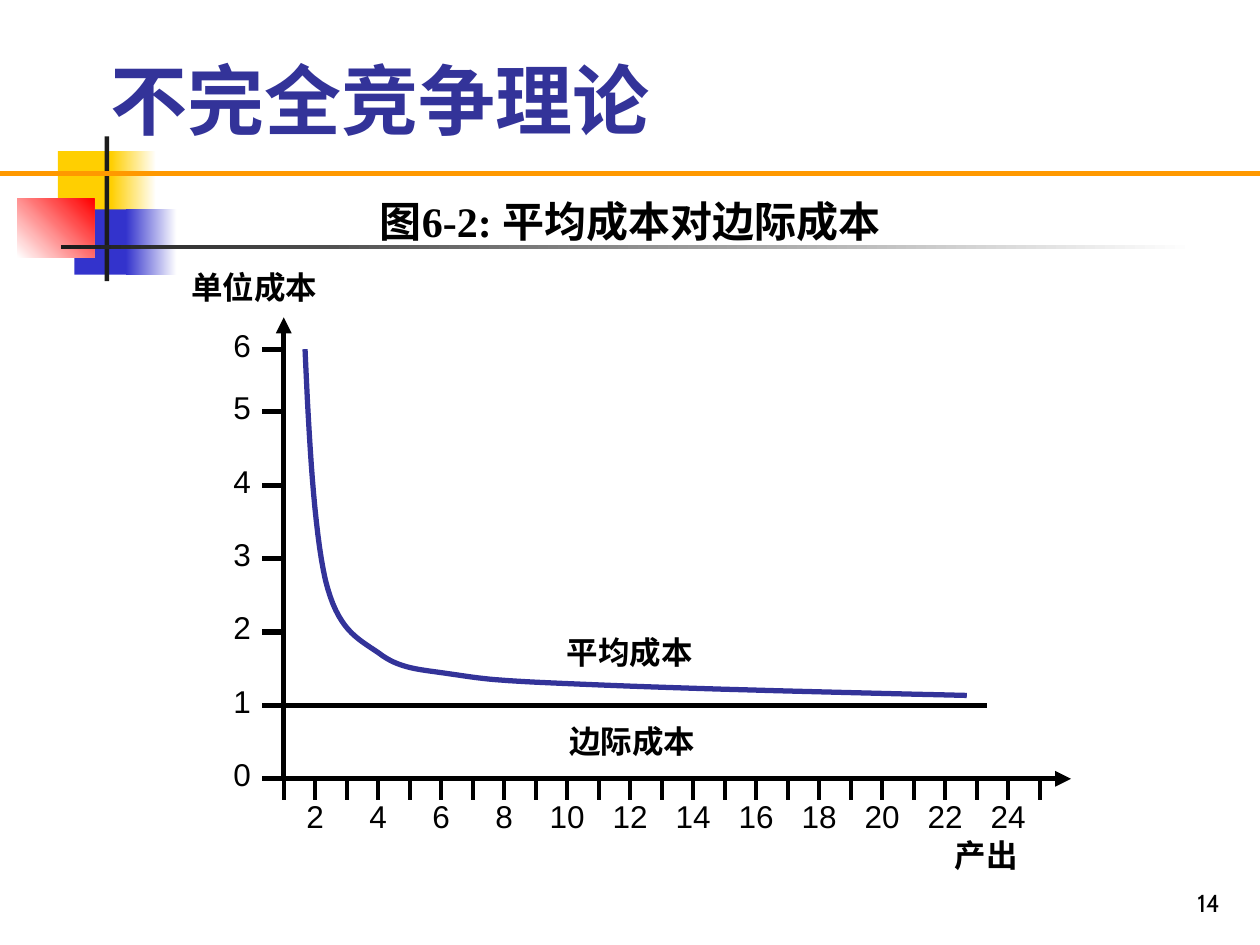
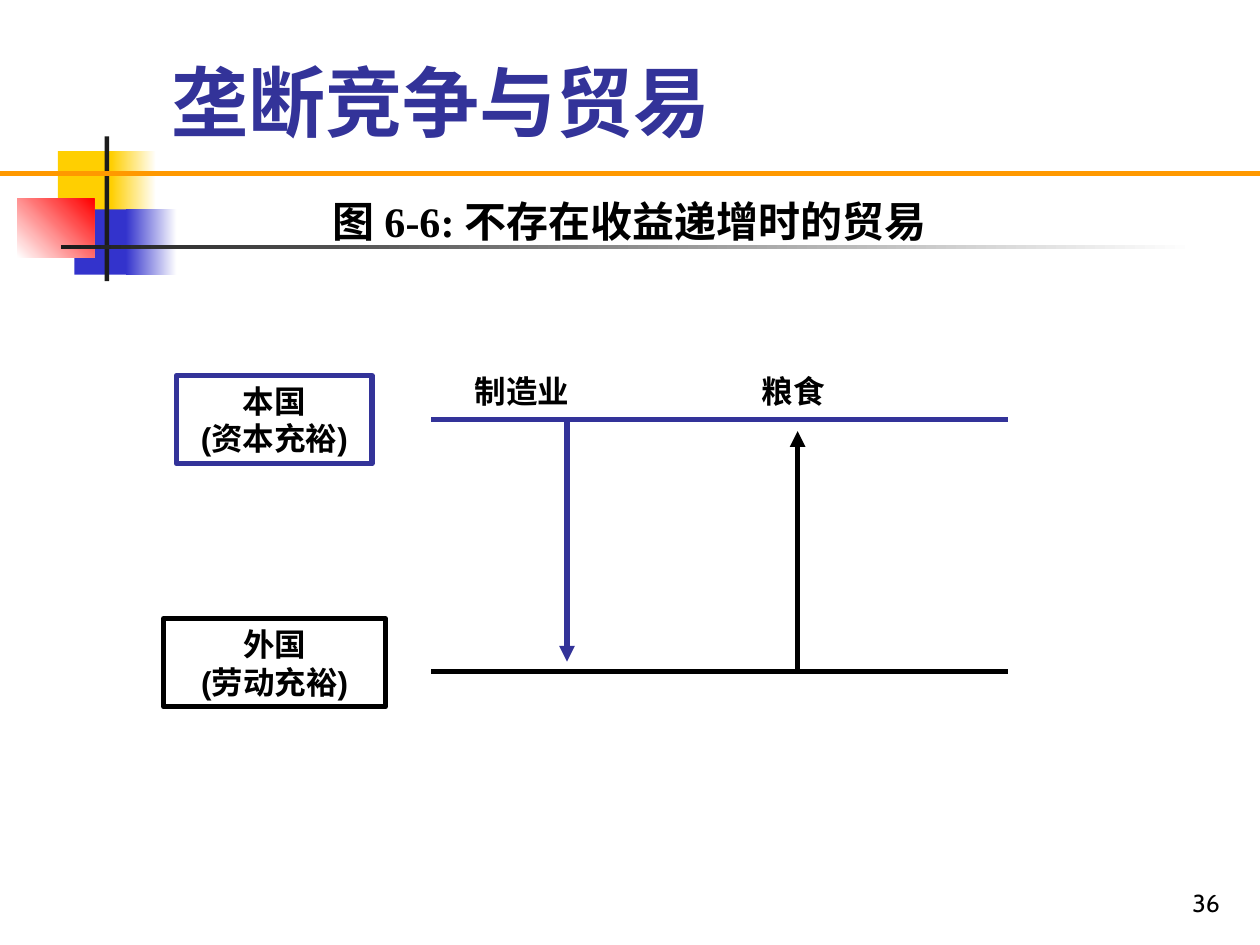
from pptx import Presentation
from pptx.dml.color import RGBColor
from pptx.enum import shapes, text
from pptx.oxml import ns, xmlchemy
from pptx.util import Cm, Pt

BLACK = RGBColor(0, 0, 0)
WHITE = RGBColor(255, 255, 255)
NAVY = RGBColor(0x33, 0x33, 0x99)
BLUE = RGBColor(0x33, 0x33, 0xCC)
GOLD = RGBColor(0xFF, 0xCF, 0x01)
RED = RGBColor(255, 0, 0)
ORANGE = RGBColor(0xFF, 0x99, 0)
DARK = RGBColor(0x1C, 0x1C, 0x1C)

WIDE, HIGH = 25.4, 19.05
TITLE = {"name": "Cabin", "size": Pt(44), "bold": True}
HEAD = {"name": "Times New Roman", "size": Pt(24), "bold": True}
LABEL = {"name": "Arial", "size": Pt(18), "bold": True}
DIGIT = {"name": "Arial", "size": Pt(18), "bold": False}
PAGE = {"name": "Cabin", "size": Pt(14), "bold": False}

LEFT, MID, RIGHT = (text.PP_ALIGN.LEFT, text.PP_ALIGN.CENTER,
                    text.PP_ALIGN.RIGHT)
TOP, CORE, BASE = (text.MSO_ANCHOR.TOP, text.MSO_ANCHOR.MIDDLE,
                   text.MSO_ANCHOR.BOTTOM)

# left, top, width, height, first colour, last colour, angle
MOTIF = [
    (1.17, 3.05, 1.22, 1.32, GOLD, None, 0),
    (2.24, 3.05, 0.91, 1.32, GOLD, WHITE, 0),
    (1.5, 4.22, 1.17, 1.32, BLUE, None, 0),
    (2.54, 4.22, 1.02, 1.32, BLUE, WHITE, 0),
    (0.35, 4.01, 1.55, 1.18, WHITE, RED, 45),
    (2.11, 2.75, 0.09, 2.92, DARK, None, 0),
    (1.23, 4.94, 22.86, 0.09, DARK, WHITE, 0),
]

# average cost: start point, then three control points per cubic piece
COST = [
    (0.43, 8.66),
    (0.51, 6.86), (0.61, 5.03), (0.84, 4.01),
    (1.09, 3.0), (1.47, 2.84), (1.91, 2.54),
    (2.34, 2.21), (2.72, 2.21), (3.38, 2.11),
    (4.06, 2.01), (4.19, 1.98), (5.92, 1.91),
    (7.65, 1.83), (10.72, 1.75), (13.77, 1.68),
]


def fill_text(frame, lines, style, tint=BLACK, align=LEFT, anchor=TOP):
    frame.vertical_anchor = anchor
    for num, words in enumerate(lines):
        para = frame.add_paragraph() if num else frame.paragraphs[0]
        para.alignment = align
        run = para.add_run()
        run.text = words
        for key, value in style.items():
            setattr(run.font, key, value)
        run.font.color.rgb = tint


def put_text(slide, box, words, style, **look):
    frame = slide.shapes.add_textbox(*map(Cm, box)).text_frame
    frame.word_wrap = True
    fill_text(frame, [words], style, **look)


def put_rect(slide, box):
    rect = slide.shapes.add_shape(shapes.MSO_SHAPE.RECTANGLE, *map(Cm, box))
    rect.shadow.inherit = False
    return rect


def put_line(slide, start, end, tint=BLACK, width=3, arrow=False):
    line = slide.shapes.add_connector(
        shapes.MSO_CONNECTOR.STRAIGHT, *map(Cm, (*start, *end)))
    line.line.color.rgb = tint
    line.line.width = Pt(width)
    if arrow:
        tip = xmlchemy.OxmlElement("a:tailEnd")
        tip.set("type", "triangle")
        line._element.spPr.find(ns.qn("a:ln")).append(tip)
    line._element.spPr.append(xmlchemy.OxmlElement("a:effectLst"))


def frame_slide(deck, title, box, head, page):
    """Add a slide with the shared motif, title, heading and page number."""
    slide = deck.slides.add_slide(deck.slide_layouts[6])
    for *place, first, last, angle in MOTIF:
        rect = put_rect(slide, place)
        rect.line.fill.background()
        if last is None:
            rect.fill.solid()
            rect.fill.fore_color.rgb = first
        else:
            rect.fill.gradient()
            rect.fill.gradient_angle = angle
            for stop, tint in zip(rect.fill.gradient_stops, (first, last)):
                stop.color.rgb = tint
    put_line(slide, (0, 3.5), (WIDE, 3.5), ORANGE)
    put_text(slide, (19.56, 17.35, 5.28, 1.27), page, PAGE,
             align=RIGHT, anchor=BASE)
    put_text(slide, (0, 3.61, WIDE, 1.47), head, HEAD,
             align=MID, anchor=BASE)
    put_text(slide, box, title, TITLE, tint=NAVY, anchor=CORE)
    return slide


def trace(knots, steps=16):
    """Return points along a chain of cubic Bezier pieces."""
    points = [knots[0]]
    for i in range(0, len(knots) - 1, 3):
        for n in range(1, steps + 1):
            t = n / steps
            parts = ((1 - t) ** 3, 3 * t * (1 - t) ** 2,
                     3 * t * t * (1 - t), t ** 3)
            points.append(tuple(
                sum(w * knot[axis] for w, knot in zip(parts, knots[i:i + 4]))
                for axis in (0, 1)))
    return points


def draw_axes(slide, box):
    left, top, wide, high = box
    base = top + high
    put_line(slide, (left, base), (left, top), arrow=True)
    put_line(slide, (left, base), (left + wide, base), arrow=True)
    marks = [7.4 * i / 5 for i in range(6)] + [8.66]
    for num, rise in enumerate(marks):
        y = base - rise
        put_line(slide, (left - 0.43, y), (left, y))
        put_text(slide, (left - 1.44, y - 0.6, 1.2, 1.02), str(num), DIGIT,
                 align=MID)
    for num in range(25):
        x = left + 15.24 * num / 24
        put_line(slide, (x, base), (x, base + 0.43), width=2.25)
        if num % 2 and num < 24:
            put_text(slide, (x - 0.75, base + 0.25, 1.5, 1.02), str(num + 1),
                     DIGIT, align=MID)
    put_text(slide, (left - 2.11, top - 1.12, 3.6, 1.02), "单位成本", LABEL)
    put_text(slide, (left + 13.28, base + 1.02, 2.2, 1.02), "产出", LABEL)


def draw_costs(slide, box):
    left, top, _, high = box
    base = top + high
    points = [(Cm(left + x), Cm(base - y)) for x, y in trace(COST)]
    pen = slide.shapes.build_freeform(*points[0])
    pen.add_line_segments(points[1:], close=False)
    curve = pen.convert_to_shape()
    curve.shadow.inherit = False
    curve.fill.background()
    curve.line.color.rgb = NAVY
    curve.line.width = Pt(3)
    y = base - 7.4 / 5
    put_line(slide, (left, y), (left + 14.17, y))
    put_text(slide, (left + 5.46, base - 3.07, 6.8, 1.02), "平均成本", LABEL)
    put_text(slide, (left + 5.51, base - 1.27, 6.8, 1.02), "边际成本", LABEL)


def draw_trade(slide, box):
    left, top, wide, high = box
    home, away = top + 1.09, top + 6.17
    lands = [
        (["本国", "(资本充裕)"], 0.26, top + 0.2, 3.94, home, NAVY),
        (["外国", "(劳动充裕)"], 0, top + high - 1.78, 4.47, away, BLACK),
    ]
    for lines, shift, y, width, level, tint in lands:
        rect = put_rect(slide, (left + shift, y, width, 1.78))
        rect.fill.background()
        rect.line.color.rgb = tint
        rect.line.width = Pt(3)
        rect.text_frame.word_wrap = False
        fill_text(rect.text_frame, lines, LABEL, align=MID)
        put_line(slide, (left + 5.39, level), (left + wide, level), tint)
    goods = [
        ("制造业", 6.02, 8.13, home, away - 0.2, NAVY),
        ("粮食", 11.81, 12.78, away, home + 0.23, BLACK),
    ]
    for name, shift, x, start, end, tint in goods:
        put_line(slide, (left + x, start), (left + x, end), tint, arrow=True)
        put_text(slide, (left + shift, top, 2.8, 1.02), name, LABEL)


def main():
    deck = Presentation()
    deck.slide_width, deck.slide_height = Cm(WIDE), Cm(HIGH)

    slide = frame_slide(deck, "不完全竞争理论", (1.98, 0.79, 19.81, 2.39),
                        "图6-2: 平均成本对边际成本", "14")
    plot = (5.72, 6.4, 15.87, 9.3)
    draw_costs(slide, plot)
    draw_axes(slide, plot)

    slide = frame_slide(deck, "垄断竞争与贸易", (3.2, 0.58, 21.64, 2.92),
                        "图 6-6: 不存在收益递增时的贸易", "36")
    draw_trade(slide, (3.3, 7.37, 17.02, 6.88))
    deck.save("out.pptx")


if __name__ == "__main__":
    main()
